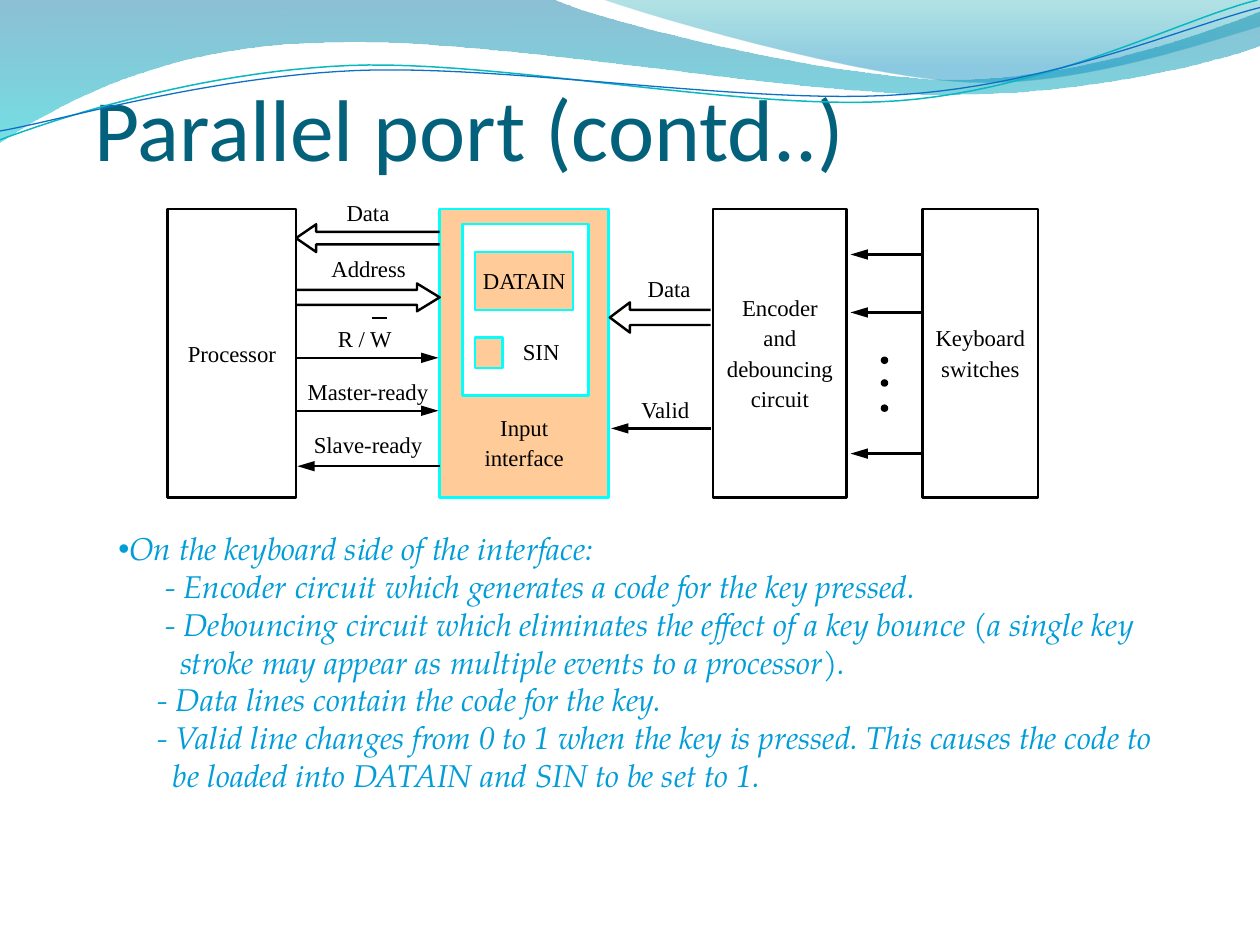
import pptx
import pptx.dml.color
import pptx.enum.shapes
import pptx.enum.text
import pptx.oxml.ns
import pptx.util
import lxml.etree

COLORS = {
    "title": "04617B", "body": "009DD9", "ink": "000000", "paper": "FFFFFF",
    "peach": "FFCC99", "cyan": "00FFFF", "teal line": "0AB8BF", "blue line": "0F6FC6",
}
RGB = {name: pptx.dml.color.RGBColor.from_string(code) for name, code in COLORS.items()}
SHAPES = pptx.enum.shapes.MSO_SHAPE
ANCHOR = pptx.enum.text.MSO_ANCHOR
ALIGN = pptx.enum.text.PP_ALIGN
STROKE = pptx.util.Pt(1.38)
qn = pptx.oxml.ns.qn

deck = pptx.Presentation()
deck.slide_width, deck.slide_height = pptx.util.Inches(10), pptx.util.Inches(7.5)
column, row = deck.slide_width / 100, deck.slide_height / 75
page = deck.slides.add_slide(deck.slide_layouts[1])


def outline(start, segments, closed):
    """Draw a freeform in grid units; a segment is a line (x, y) or a cubic curve (6 values)."""
    points = [start]
    for segment in segments:
        if len(segment) == 2:
            points.append(segment)
            continue
        nodes = [points[-1], segment[:2], segment[2:4], segment[4:]]
        for step in range(1, 25):
            t = step / 24
            weights = [(1 - t) ** 3, 3 * t * (1 - t) ** 2, 3 * t * t * (1 - t), t ** 3]
            points.append([sum(w * node[axis] for w, node in zip(weights, nodes)) for axis in (0, 1)])
    spots = [(round(x * column), round(y * row)) for x, y in points]
    builder = page.shapes.build_freeform(*spots[0])
    builder.add_line_segments(spots[1:], close=closed)
    shape = builder.convert_to_shape()
    shape.shadow.inherit = False
    return shape


def write(frame, lines, size, font, color, **formats):
    """Fill a text frame, one paragraph per line, and set the given frame attributes."""
    margins = dict.fromkeys(["margin_left", "margin_top", "margin_right", "margin_bottom"], 0)
    for name, value in {**margins, "auto_size": pptx.enum.text.MSO_AUTO_SIZE.NONE, **formats}.items():
        setattr(frame, name, value)
    frame.text = "\n".join(lines)
    for para in frame.paragraphs:
        para.alignment = ALIGN.CENTER
        for span in para.runs:
            span.font.size, span.font.name = pptx.util.Pt(size), font
            span.font.color.rgb = RGB[color]


# Waves across the top: start, segments, gradient stops (colour, position, opacity in %)
waves = [
    ((0, 0), [(44, 0), (47.6, 1.7, 66.4, 6.3, 75.8, 6.3), (85.3, 6.3, 95.8, 2.6, 100, 0.9),
              (100, 3.6), (98.3, 4.4, 87, 7.6, 74.6, 7.5), (62.2, 7.5, 38.2, 2.8, 25.7, 3.4),
              (12.9, 3.6, 4.6, 8.3, 0, 11.3)],
     [("0074A1", 0, 45), ("00C6CF", 1, 55)]),
    ((47.9, 0), [(50.9, 1.1, 68.2, 6.2, 76.9, 6.5), (85.6, 6.9, 96.1, 3.2, 100, 2.1), (100, 0)],
     [("00A1A9", 0, 30), ("008BBF", 0.8, 45)]),
]
for start, segments, stops in waves:
    wave = outline(start, segments, True)
    wave.line.fill.background()
    wave.fill.gradient()
    wave.fill.gradient_angle = 270
    for stop, (code, position, opacity) in zip(wave.fill.gradient_stops, stops):
        stop.position = position
        stop.color.rgb = pptx.dml.color.RGBColor.from_string(code)
        tint = next(stop._gs.iter(qn("a:srgbClr")))
        lxml.etree.SubElement(tint, qn("a:alpha"), val=str(opacity * 1000))

ripples = [
    ((0, 11.1), [(4.8, 9.3, 15.8, 5.7, 27.7, 5.2), (39.5, 4.7, 59.3, 8.9, 71.3, 8),
                 (83.3, 7.1, 93.8, 1.5, 99.8, 0)], "teal line", 0.85),
    ((0, 10.4), [(4.7, 9.6, 16.4, 6.1, 28.3, 5.6), (40.3, 5.1, 59.7, 8.4, 71.7, 7.5),
                 (83.6, 6.7, 94.1, 2.1, 100, 0.6)], "blue line", 0.75),
]
for start, segments, color, width in ripples:
    ripple = outline(start, segments, False)
    ripple.fill.background()
    ripple.line.color.rgb, ripple.line.width = RGB[color], pptx.util.Pt(width)

# Title and list
title, body = page.placeholders
for holder, (left, top, width, height) in [(title, (7.5, 5, 71.7, 9.2)), (body, (8.4, 41.5, 85.4, 22))]:
    holder.left, holder.top = round(left * column), round(top * row)
    holder.width, holder.height = round(width * column), round(height * row)
write(title.text_frame, ["Parallel port (contd..)"], 50, "Calibri", "title",
      vertical_anchor=ANCHOR.BOTTOM, margin_top=round(row / 2))
title.text_frame.paragraphs[0].alignment = ALIGN.LEFT

# Each list item: hanging margin in columns, text
items = [
    (0, "On the keyboard side of the interface:"),
    (4.9, "- Encoder circuit which generates a code for the key pressed."),
    (4.9, "- Debouncing circuit which eliminates the effect of a key bounce (a single key "
          "stroke may appear as multiple events to a processor)."),
    (4.3, "- Data lines contain the code for the key."),
    (4.3, "- Valid line changes from 0 to 1 when the key is pressed. This causes the code to "
          "be loaded into DATAIN and SIN to be set to 1."),
]
write(body.text_frame, [text for _, text in items], 18, "TeX Gyre Pagella", "body", word_wrap=True,
      margin_left=round(column), margin_right=round(column), margin_top=round(row / 2))
for para, (margin, _) in zip(body.text_frame.paragraphs, items):
    para.alignment, para.space_before = ALIGN.LEFT, pptx.util.Pt(0)
    para.runs[0].font.italic = True
    layout = para._p.get_or_add_pPr()
    layout.set("marL", str(round(margin * column)))
    layout.set("indent", str(round(-1.2 * column) if margin else 0))
    if margin:
        lxml.etree.SubElement(layout, qn("a:buNone"))
    else:
        lxml.etree.SubElement(layout, qn("a:buChar"), char="•")

# Blocks: left, top, width, height, fill, line, lines of text, anchor, bottom margin in rows
blocks = [
    (13.3, 16.6, 10.2, 22.9, "paper", "ink", ["Processor"], ANCHOR.MIDDLE, 0.3),
    (34.9, 16.6, 13.4, 22.9, "peach", "cyan", ["Input", "interface"], ANCHOR.BOTTOM, 2.1),
    (56.6, 16.6, 10.6, 22.9, "paper", "ink",
     ["Encoder", "and", "debouncing", "circuit"], ANCHOR.MIDDLE, 0.3),
    (73.2, 16.6, 9.2, 22.9, "paper", "ink", ["Keyboard", "switches"], ANCHOR.MIDDLE, 0.3),
    (36.7, 17.8, 10, 13.6, "paper", "cyan", [], ANCHOR.MIDDLE, 0),
    (37.7, 20, 7.8, 4.6, "peach", "cyan", ["DATAIN"], ANCHOR.MIDDLE, 0.3),
    (37.7, 26.8, 2.2, 2.4, "peach", "cyan", [], ANCHOR.MIDDLE, 0),
]
for left, top, width, height, fill, line, lines, anchor, bottom in blocks:
    block = page.shapes.add_shape(SHAPES.RECTANGLE, round(left * column), round(top * row),
                                  round(width * column), round(height * row))
    block.shadow.inherit = False
    block.fill.solid()
    block.fill.fore_color.rgb = RGB[fill]
    block.line.color.rgb, block.line.width = RGB[line], STROKE
    if lines:
        write(block.text_frame, lines, 13, "Times New Roman", "ink", word_wrap=False,
              vertical_anchor=anchor, margin_bottom=round(bottom * row))
        for para in block.text_frame.paragraphs:
            para.line_spacing = pptx.util.Pt(17.28)

# Bus arrows, open at the tail: tail, neck, tip, middle, half shaft, half head
for tail, neck, tip, middle, shaft, head in [
    (34.9, 25.1, 23.5, 18.9, 0.5, 1.1),
    (23.5, 33.1, 34.9, 23.6, 0.6, 1.1),
    (56.4, 50, 48.4, 25.2, 0.6, 1.2),
]:
    bus = outline((tail, middle - shaft),
                  [(neck, middle - shaft), (neck, middle - head), (tip, middle),
                   (neck, middle + head), (neck, middle + shaft), (tail, middle + shaft)], False)
    bus.fill.background()
    bus.line.color.rgb, bus.line.width = RGB["ink"], STROKE

# Signal lines: from, to, height, arrowhead; the last one is the bar over W
signals = [(23.5, 34.8, 28.4, True), (23.5, 34.8, 32.6, True), (34.9, 23.6, 37, True),
           (56.4, 48.5, 34, True)]
signals += [(73.2, 67.5, level, True) for level in (20.2, 24.8, 36)]
signals += [(29.5, 30.7, 25.25, False)]
for begin, end, level, pointed in signals:
    signal = page.shapes.add_connector(
        pptx.enum.shapes.MSO_CONNECTOR.STRAIGHT, round(begin * column), round(level * row),
        round(end * column), round(level * row))
    signal.line.color.rgb, signal.line.width = RGB["ink"], STROKE
    if pointed:
        lxml.etree.SubElement(signal.line._get_or_add_ln(), qn("a:tailEnd"),
                              type="triangle", w="med", len="lg")
    lxml.etree.SubElement(signal._element.spPr, qn("a:effectLst"))

# Labels: centre, top, text
for center, top, text in [
    (29.2, 15.8, "Data"), (29.25, 20.2, "Address"), (28.95, 25.8, "R / W"),
    (29.2, 30, "Master-ready"), (29.2, 34.2, "Slave-ready"),
    (53.1, 21.8, "Data"), (52.8, 31.4, "Valid"), (42.95, 26.8, "SIN"),
]:
    label = page.shapes.add_textbox(round((center - 5) * column), round(top * row),
                                    round(10 * column), round(2.2 * row))
    write(label.text_frame, [text], 13, "Times New Roman", "ink", word_wrap=True)

# Dots standing for the remaining key lines
for middle in (28.6, 30.4, 32.4):
    dot = page.shapes.add_shape(SHAPES.OVAL, round(69.9 * column), round((middle - 0.3) * row),
                                round(0.6 * column), round(0.6 * row))
    dot.shadow.inherit = False
    dot.fill.solid()
    dot.fill.fore_color.rgb = RGB["ink"]
    dot.line.fill.background()

deck.save("out.pptx")
